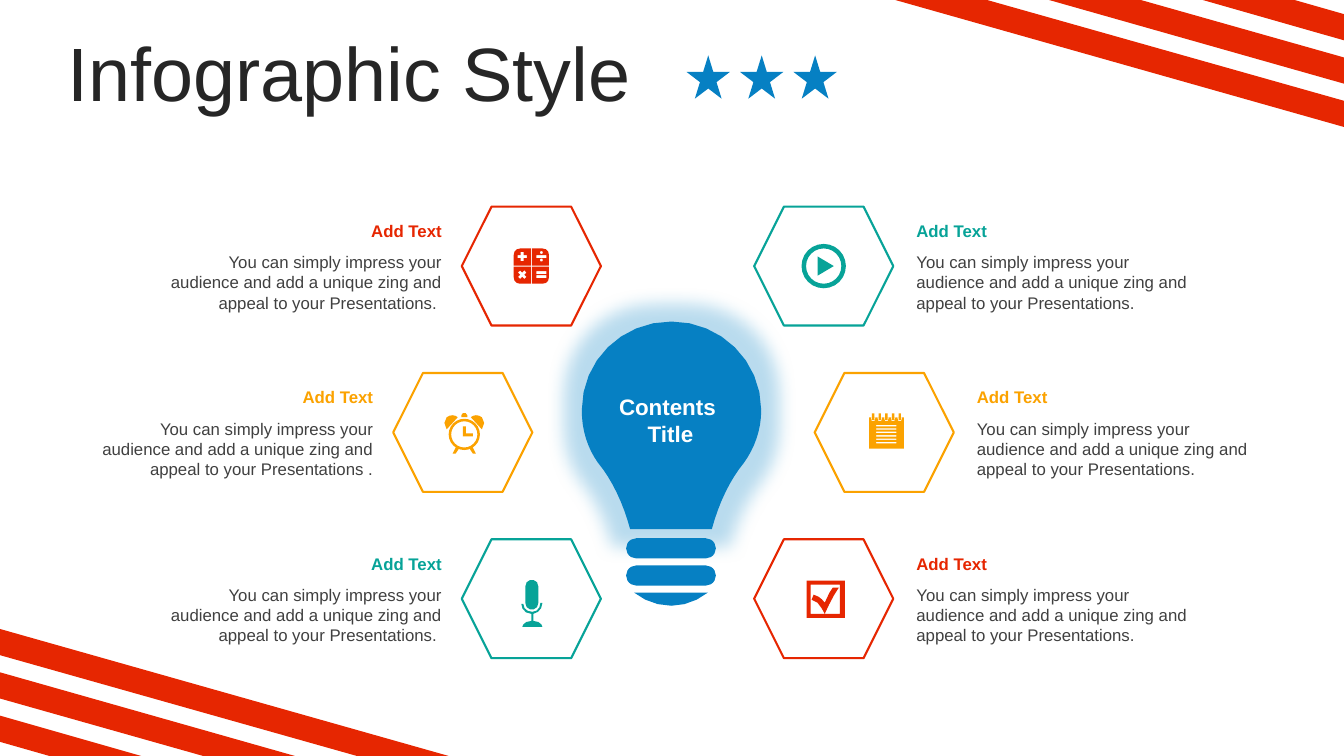
import math

import lxml.etree
import pptx
import pptx.dml.color
import pptx.enum.shapes
import pptx.enum.text
import pptx.oxml.ns
import pptx.util

Inches = pptx.util.Inches
Pt = pptx.util.Pt
qn = pptx.oxml.ns.qn
SHAPES = pptx.enum.shapes.MSO_SHAPE
ALIGN = pptx.enum.text.PP_ALIGN
ANCHOR = pptx.enum.text.MSO_ANCHOR

COLORS = {"red": "E62601", "blue": "0680C3", "teal": "07A398", "yellow": "FBA200",
          "white": "FFFFFF", "title": "262626", "body": "404040"}
HEXAGON_OPACITY = {"teal": 30, "yellow": 10}
HEXAGON_WIDTH, HEXAGON_HEIGHT = 1.38, 1.18
MESSAGE = "You can simply impress your audience and add a unique zing and appeal to your Presentations"


def rgb(name):
    return pptx.dml.color.RGBColor.from_string(COLORS[name])


def add_alpha(color_element, percent):
    lxml.etree.SubElement(color_element, qn("a:alpha"), val=str(percent * 1000))


def paint(shape, color):
    shape.shadow.inherit = False
    shape.fill.solid()
    shape.fill.fore_color.rgb = rgb(color)
    shape.line.fill.background()


# Contours are lists of points in hundredths of an inch.

def curve(outline, steps=3):
    """Turn an outline of M, L and C commands into points."""
    points = []
    for command in outline.replace("M", "|").replace("L", "|").replace("C", "|C").split("|")[1:]:
        numbers = [float(word) for word in command.strip("C ").split()]
        ends = list(zip(numbers[::2], numbers[1::2]))
        if command.startswith("C"):
            controls = [points[-1]] + ends
            for step in range(1, steps + 1):
                t = step / steps
                weights = [(1 - t) ** 3, 3 * t * (1 - t) ** 2, 3 * t * t * (1 - t), t ** 3]
                points.append(tuple(sum(w * control[axis] for w, control in zip(weights, controls))
                                    for axis in (0, 1)))
        else:
            points += ends
    return points


def circle(x, y, radius, steps=24):
    angles = [2 * math.pi * step / steps for step in range(steps)]
    return [(x + radius * math.cos(a), y + radius * math.sin(a)) for a in angles]


def box(left, top, width, height):
    return [(left, top), (left + width, top), (left + width, top + height), (left, top + height)]


def cross(x, y, degrees):
    points = []
    for quarter in range(4):
        angle = math.radians(degrees + 90 * quarter)
        points += [(x + a * math.cos(angle) - b * math.sin(angle),
                    y + a * math.sin(angle) + b * math.cos(angle))
                   for a, b in ((-1.5, -4.5), (1.5, -4.5), (1.5, -1.5))]
    return points


def mirror(points, x_sign, y_sign=1):
    return [(x * x_sign, y * y_sign) for x, y in points]


def calculator():
    key = curve("M 0.5 0.5 L 17.5 0.5 L 17.5 11 C 17.5 15 15 17.5 11 17.5 L 0.5 17.5")
    keys = [mirror(key, x, y) for x in (-1, 1) for y in (-1, 1)]
    signs = [cross(-9, -9.5, 0), cross(-9, 8.5, 45), box(5, -11, 10, 3),
             circle(10, -13.5, 1.6, 6), circle(10, -6, 1.6, 6), box(5, 5, 10, 3), box(5, 9, 10, 3)]
    return keys + signs


def play():
    return [circle(0, 0, 22), circle(0, 0, 17.5), [(-6, -9.5), (10, 0), (-6, 9.5)]]


def alarm_clock():
    bell = curve("M -11.5 -17 C -9.5 -17 -7.5 -16 -6.5 -15 L -17.5 -3 "
                 "C -20.5 -7 -20.5 -12 -17.5 -15 C -15.5 -16.5 -13.5 -17 -11.5 -17", 2)
    leg = [(-5.5, 16.5), (-8.5, 21), (-11.5, 21), (-8.5, 15)]
    hands = [(-1.5, -6), (1.5, -6), (1.5, 1), (8.5, 1), (8.5, 4), (-1.5, 4)]
    knob = curve("M -3 -15 L -3 -17 C -3 -20 3 -20 3 -17 L 3 -15")
    contours = [circle(0, 2, 15.5), circle(0, 2, 13), hands, knob]
    contours += [mirror(part, side) for part in (bell, leg) for side in (-1, 1)]
    return [[(x + 1.5, y) for x, y in contour] for contour in contours]


def notepad():
    contours = [box(-15, -15, 34.5, 31)]
    contours += [box(-8, -7.5 + 3.4 * row, 20, 1.4) for row in range(6)]
    for ring in range(5):
        x = -11 + 6.6 * ring
        contours.append([(x - 2.4, -15), (x - 1.4, -11.2), (x + 1.4, -11.2), (x + 2.4, -15)])
        contours.append(box(x - 1.2, -19, 2.4, 6.8))
    return contours


def microphone():
    return [curve("M -6 -12 C -6 -21 7 -21 7 -12 L 7 4 C 7 13 -6 13 -6 4", 5),
            curve("M 11 4 C 11 10 7 14 2 15 L 2 22 C 8 22 11 26 11 28 L -9 28 C -9 26 -6 22 0 22 "
                  "L 0 15 C -6 15 -10 10 -10 5 L -8 5 C -8 10 -4 13 1 13 C 6 13 9 9 9 4")]


def check_box():
    return [box(-17, -18, 38, 37), box(-13, -14, 29, 29),
            curve("M 1 15 C -2 10 -5 2 -12 1 L -10 -4 C -4 -2 -2 0 1 4 C 4 -2 5 -6 9 -11 "
                  "L 15 -11 C 10 -4 5 6 1 15")]


def add_outline(slide, contours, x, y, color):
    """Draw contours as one shape, measured from the point x, y."""
    placed = [[(Inches(x + a / 100), Inches(y + b / 100)) for a, b in contour] for contour in contours]
    builder = slide.shapes.build_freeform(*placed[0][0], scale=1.0)
    for index, contour in enumerate(placed):
        if index:
            builder.move_to(*contour[0])
        builder.add_line_segments(contour[1:], close=True)
    shape = builder.convert_to_shape()
    paint(shape, color)
    return shape


def add_text(slide, left, top, width, height, lines, size, color, align, bold=False, anchor=ANCHOR.MIDDLE):
    frame = slide.shapes.add_textbox(Inches(left), Inches(top), Inches(width), Inches(height)).text_frame
    frame.word_wrap = True
    frame.vertical_anchor = anchor
    frame.text = "\n".join(lines)
    for paragraph in frame.paragraphs:
        paragraph.alignment = align
        paragraph.font.name = "Arial"
        paragraph.font.size = Pt(size)
        paragraph.font.bold = bold
        paragraph.font.color.rgb = rgb(color)


def add_stripes(slide, left, top, rotation):
    stripes = []
    for index in range(3):
        start, end = 43 * index, 445 - 152.5 * index
        stripes.append([(0, start), (end, 126), (end - 91, 126), (0, start + 26)])
    add_outline(slide, stripes, left, top, "red").rotation = rotation


def add_heading(slide, left, top, width, height):
    title = slide.shapes.title
    title.left, title.top, title.width, title.height = map(Inches, (left, top, width, height))
    frame = title.text_frame
    frame.text = "Infographic Style"
    frame.auto_size = pptx.enum.text.MSO_AUTO_SIZE.NONE
    frame.vertical_anchor = ANCHOR.MIDDLE
    paragraph = frame.paragraphs[0]
    paragraph.alignment = ALIGN.LEFT
    paragraph.line_spacing = 0.9
    paragraph.font.name = "Arial"
    paragraph.font.size = Pt(54)
    paragraph.font.color.rgb = rgb("title")
    for index in range(3):
        star = slide.shapes.add_shape(SHAPES.STAR_5_POINT, Inches(left + 6.24 + 0.53 * index),
                                      Inches(top + 0.18), Inches(0.43), Inches(0.43))
        paint(star, "blue")


def add_bulb(slide, left, top):
    glass = curve("M 89 0 C 138 0 178 39 178 88 C 178 108 171 126 161 140 C 147 157 136 180 129 206 "
                  "L 48 206 C 41 180 30 157 16 140 C 6 126 0 108 0 88 C 0 39 39 0 89 0", 8)
    bulb = add_outline(slide, [glass], left, top, "blue")
    effects = bulb._element.spPr.find(qn("a:effectLst"))
    glow = lxml.etree.SubElement(effects, qn("a:glow"), rad=str(Inches(0.35)))
    add_alpha(lxml.etree.SubElement(glow, qn("a:srgbClr"), val=COLORS["blue"]), 28)
    for row in range(2):
        thread = slide.shapes.add_shape(SHAPES.ROUNDED_RECTANGLE, Inches(left + 0.44),
                                        Inches(top + 2.15 + 0.27 * row), Inches(0.89), Inches(0.2))
        thread.adjustments[0] = 0.5
        paint(thread, "blue")
    foot = curve("M 52 269 L 125 269 C 115 277 102 282 89 282 C 75 282 62 277 52 269")
    add_outline(slide, [foot], left, top, "blue")
    add_text(slide, left + 0.17, top + 0.66, 1.42, 0.64, ["Contents ", "Title"], 16, "white", ALIGN.CENTER, True)


def add_item(slide, left, top, color, icon, on_left, ending):
    """Place a hexagon with its icon, and its text on the outer side."""
    hexagon = slide.shapes.add_shape(SHAPES.HEXAGON, Inches(left), Inches(top),
                                     Inches(HEXAGON_WIDTH), Inches(HEXAGON_HEIGHT))
    paint(hexagon, "white")
    if color in HEXAGON_OPACITY:
        add_alpha(hexagon._element.spPr.find(qn("a:solidFill"))[0], HEXAGON_OPACITY[color])
    else:
        hexagon.fill.background()
    hexagon.line.color.rgb = rgb(color)
    hexagon.line.width = Pt(1.5)
    add_outline(slide, icon(), left + HEXAGON_WIDTH / 2, top + HEXAGON_HEIGHT / 2, color)
    text_left = left - 3.09 if on_left else left + 1.51
    align = ALIGN.RIGHT if on_left else ALIGN.LEFT
    add_text(slide, text_left, top + 0.4, 2.99, 0.71, [MESSAGE + ending], 12, "body", align, anchor=ANCHOR.TOP)
    add_text(slide, text_left, top + 0.09, 2.99, 0.3, ["Add Text"], 12, color, align, True)


def main():
    presentation = pptx.Presentation()
    presentation.slide_width, presentation.slide_height = Inches(13.33), Inches(7.5)
    slide = presentation.slides.add_slide(presentation.slide_layouts[5])
    add_stripes(slide, 0, 6.24, 0)
    add_stripes(slide, 8.88, 0, 180)
    add_heading(slide, 0.57, 0.37, 12.08, 0.79)
    add_bulb(slide, 5.77, 3.19)
    rows = [((4.58, "red", calculator, ". "), (7.48, "teal", play, ".")),
            ((3.9, "yellow", alarm_clock, " ."), (8.08, "yellow", notepad, ".")),
            ((4.58, "teal", microphone, ". "), (7.48, "red", check_box, "."))]
    for row, sides in enumerate(rows):
        for side, (left, color, icon, ending) in enumerate(sides):
            add_item(slide, left, 2.05 + 1.65 * row, color, icon, side == 0, ending)
    presentation.save("out.pptx")


if __name__ == "__main__":
    main()
